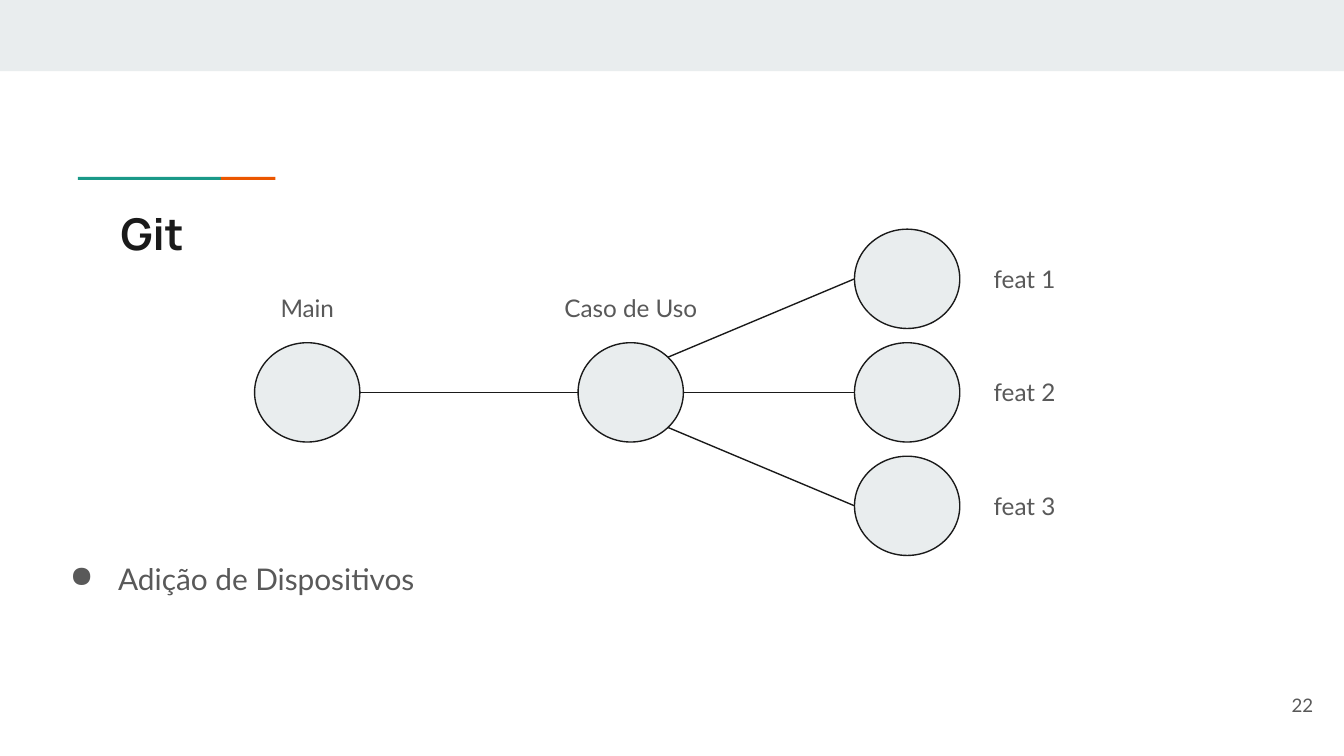
import math

import pptx
import pptx.dml.color
import pptx.enum.shapes
import pptx.enum.text
import pptx.util
from lxml import etree
from pptx.oxml.ns import qn

Pt = pptx.util.Pt
SHAPE = pptx.enum.shapes.MSO_SHAPE
ALIGN = pptx.enum.text.PP_ALIGN
ANCHOR = pptx.enum.text.MSO_ANCHOR
HEX = {"pale": "E9EDEE", "ink": "1A1A1A", "gray": "595959",
       "teal": "1A9988", "orange": "EB5600"}
NODE_W, NODE_H = 56.4, 53.2
MAIN_X, CASE_X, FEAT_X = 164.6, 337.9, 486
MID_Y, STEP = 210.2, 60.8


def color(name):
    return pptx.dml.color.RGBColor.from_string(HEX[name])


def add_fill(slide, kind, box, fill, line=None):
    shape = slide.shapes.add_shape(kind, *map(Pt, box))
    shape.shadow.inherit = False
    shape.fill.solid()
    shape.fill.fore_color.rgb = color(fill)
    if line:
        shape.line.color.rgb = color(line)
        shape.line.width = Pt(0.75)
    else:
        shape.line.fill.background()


def add_node(slide, x, y):
    """Draw a commit circle centred on x, y."""
    box = (x - NODE_W / 2, y - NODE_H / 2, NODE_W, NODE_H)
    add_fill(slide, SHAPE.OVAL, box, "pale", "ink")


def add_link(slide, start, end):
    link = slide.shapes.add_connector(
        pptx.enum.shapes.MSO_CONNECTOR.STRAIGHT, *map(Pt, start + end))
    link.line.color.rgb = color("ink")
    link.line.width = Pt(0.75)
    etree.SubElement(link.element.spPr, qn("a:effectLst"))


def add_text(slide, text, box, size, align=ALIGN.LEFT, font="Lato",
             ink="gray", bold=False, anchor=ANCHOR.TOP):
    """Add a one-line text box and return its paragraph."""
    frame = slide.shapes.add_textbox(*map(Pt, box)).text_frame
    frame.word_wrap = True
    frame.vertical_anchor = anchor
    frame.margin_left = frame.margin_right = Pt(7.2)
    frame.margin_top = frame.margin_bottom = Pt(7.2)
    para = frame.paragraphs[0]
    para.alignment = align
    run = para.add_run()
    run.text = text
    run.font.name = font
    run.font.size = Pt(size)
    run.font.bold = bold
    run.font.color.rgb = color(ink)
    return para


def add_bullet(para, left, hang):
    para.line_spacing = 1.15
    props = para._p.get_or_add_pPr()
    props.set("marL", str(Pt(left)))
    props.set("indent", str(-Pt(hang)))
    tint = etree.SubElement(props, qn("a:buClr"))
    etree.SubElement(tint, qn("a:srgbClr"), val=HEX["gray"])
    etree.SubElement(props, qn("a:buChar"), char="●")


def add_tree(slide):
    """Draw the branches from main to the use case and its features."""
    edge = NODE_W / 2
    add_link(slide, (MAIN_X + edge, MID_Y), (CASE_X - edge, MID_Y))
    for row in (-1, 0, 1):
        y = MID_Y + row * STEP
        turn = row * math.pi / 4
        start = (CASE_X + edge * math.cos(turn),
                 MID_Y + NODE_H / 2 * math.sin(turn))
        add_link(slide, start, (FEAT_X - edge, y))
        add_node(slide, FEAT_X, y)
        add_text(slide, f"feat {row + 2}", (514.2, y - 15.1, 69.2, 30.2), 13,
                 ALIGN.CENTER)
    for x, name, width in ((MAIN_X, "Main", 60), (CASE_X, "Caso de Uso", 100)):
        add_node(slide, x, MID_Y)
        add_text(slide, name, (x - width / 2, 149.8, width, 30.2), 13,
                 ALIGN.CENTER)


def main():
    deck = pptx.Presentation()
    deck.slide_width, deck.slide_height = Pt(720), Pt(405)
    slide = deck.slides.add_slide(deck.slide_layouts[6])
    add_fill(slide, SHAPE.RECTANGLE, (0, 0, 720, 38.2), "pale")
    add_fill(slide, SHAPE.RECTANGLE, (41.8, 94.8, 76.6, 1.6), "teal")
    add_fill(slide, SHAPE.RECTANGLE, (118.4, 94.8, 29.2, 1.6), "orange")
    add_text(slide, "Git", (57.6, 103.7, 605.5, 42.5), 23.4,
             font="Manrope", ink="ink", bold=True)
    add_tree(slide)
    item = add_text(slide, "Adição de Dispositivos", (20.2, 290.2, 671, 61.2),
                    16, ALIGN.JUSTIFY)
    add_bullet(item, 36, 25.9)
    add_text(slide, "22", (667.4, 362.2, 43.2, 31), 10, ALIGN.RIGHT,
             anchor=ANCHOR.MIDDLE)
    deck.save("out.pptx")


if __name__ == "__main__":
    main()
